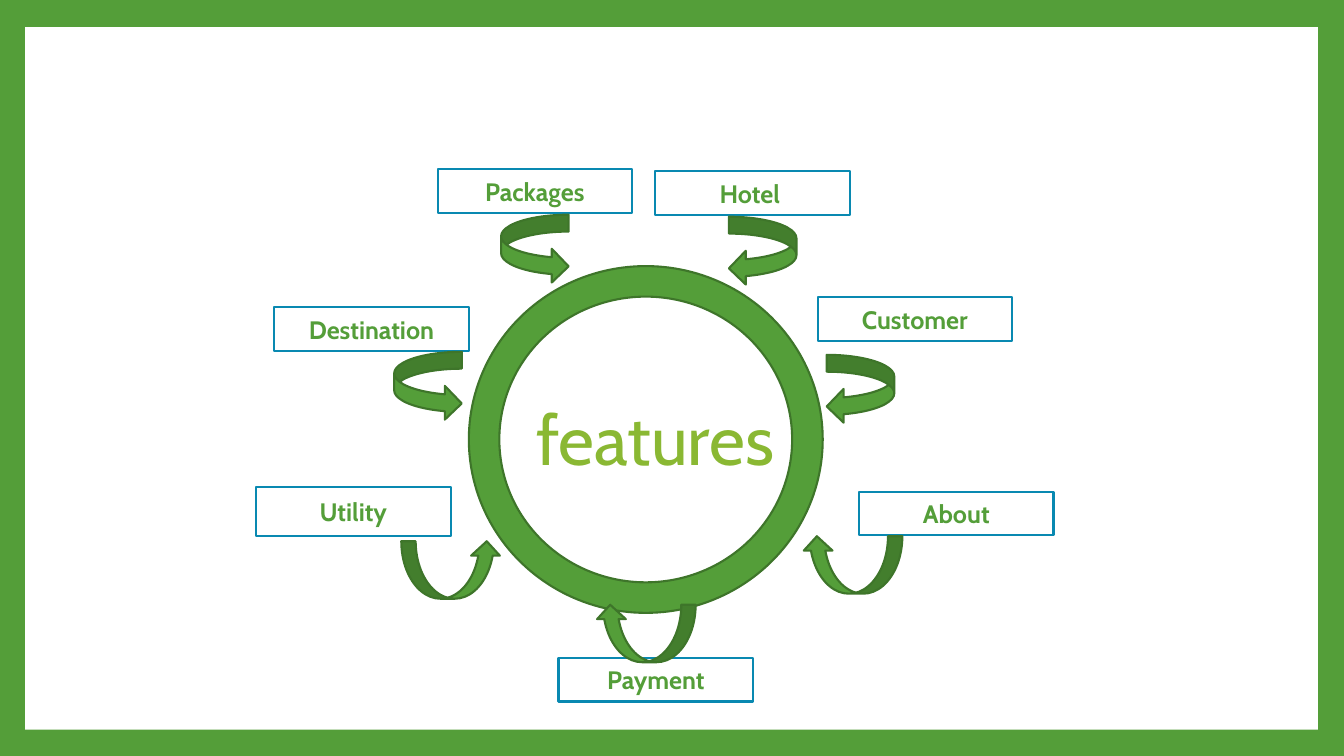
"""Build a slide with a ring of seven features around a central title."""
from dataclasses import dataclass

from pptx import Presentation
from pptx.dml.color import RGBColor
from pptx.enum.shapes import MSO_SHAPE
from pptx.enum.text import MSO_ANCHOR, MSO_AUTO_SIZE, PP_ALIGN
from pptx.shapes.autoshape import Shape
from pptx.slide import Slide
from pptx.util import Inches, Pt

RECTANGLE = MSO_SHAPE.RECTANGLE
DONUT = MSO_SHAPE.DONUT
RIGHT = MSO_SHAPE.CURVED_RIGHT_ARROW
LEFT = MSO_SHAPE.CURVED_LEFT_ARROW
UP = MSO_SHAPE.CURVED_UP_ARROW
TOP, MIDDLE = MSO_ANCHOR.TOP, MSO_ANCHOR.MIDDLE
ALIGN_LEFT, CENTER = PP_ALIGN.LEFT, PP_ALIGN.CENTER
NO_AUTOFIT = MSO_AUTO_SIZE.NONE
TITLE_ONLY = 5


@dataclass(frozen=True)
class Theme:
    """Colours, font and type sizes of the slide."""
    green: str = "549E39"
    dark_green: str = "3E752A"
    lime: str = "8AB833"
    blue: str = "0989B1"
    white: str = "FFFFFF"
    font: str = "Cabin"
    title_size: float = 50
    label_size: float = 18
    line_width: float = 1.5


@dataclass(frozen=True)
class Box:
    """A position and size in inches."""
    left: float
    top: float
    width: float
    height: float


@dataclass(frozen=True)
class Feature:
    """A label box and the curved arrow that leads from it to the ring."""
    label: str
    left: float
    top: float
    arrow: MSO_SHAPE
    arrow_left: float
    arrow_top: float
    flipped: bool = False
    height: float = 0.43


THEME = Theme()
PANEL = Box(0.25, 0.27, 12.82, 6.97)
TITLE = Box(5.04, 4.06, 2.91, 0.78)
RING = Box(4.65, 2.64, 3.51, 3.44)
LABEL_WIDTH = 1.93
ARROW_SIZES = {RIGHT: (0.67, 0.68), LEFT: (0.67, 0.68), UP: (0.99, 0.57)}
FEATURES = (
    Feature("Destination", 2.72, 3.05, RIGHT, 3.91, 3.49),
    Feature("Packages", 4.34, 1.68, RIGHT, 4.97, 2.13),
    Feature("Hotel ", 6.5, 1.7, LEFT, 7.23, 2.15),
    Feature("Customer", 8.11, 2.95, LEFT, 8.2, 3.52),
    Feature("Utility", 2.54, 4.83, UP, 3.98, 5.37, height=0.49),
    Feature("Payment", 5.54, 6.53, UP, 5.91, 6, flipped=True),
    Feature("About", 8.52, 4.88, UP, 7.96, 5.32, flipped=True),
)


def add_figure(slide: Slide, kind: MSO_SHAPE, box: Box, fill: str, outline: str | None) -> Shape:
    """Add a filled preset shape, outlined when a colour is given."""
    figure = slide.shapes.add_shape(
        kind, Inches(box.left), Inches(box.top), Inches(box.width), Inches(box.height))
    figure.shadow.inherit = False
    figure.fill.solid()
    figure.fill.fore_color.rgb = RGBColor.from_string(fill)
    if outline:
        figure.line.color.rgb = RGBColor.from_string(outline)
        figure.line.width = Pt(THEME.line_width)
    else:
        figure.line.fill.background()
    return figure


def write(shape: Shape, text: str, size: float, color: str, bold: bool,
          align: PP_ALIGN, anchor: MSO_ANCHOR) -> None:
    """Write one run of text into a shape."""
    shape.text_frame.vertical_anchor = anchor
    paragraph = shape.text_frame.paragraphs[0]
    paragraph.alignment = align
    run = paragraph.add_run()
    run.text = text
    run.font.name = THEME.font
    run.font.size = Pt(size)
    run.font.bold = bold
    run.font.color.rgb = RGBColor.from_string(color)


def place_title(slide: Slide) -> None:
    """Place and format the title in the middle of the ring."""
    title = slide.shapes.title
    title.left, title.top = Inches(TITLE.left), Inches(TITLE.top)
    title.width, title.height = Inches(TITLE.width), Inches(TITLE.height)
    write(title, "features", THEME.title_size, THEME.lime, False, ALIGN_LEFT, TOP)
    frame = title.text_frame
    frame.auto_size = NO_AUTOFIT
    frame.margin_left, frame.margin_top = Inches(0.28), Inches(0.09)
    frame.paragraphs[0].line_spacing = 0.7
    frame.paragraphs[0].space_before = Pt(0)


def add_label(slide: Slide, feature: Feature) -> None:
    """Add the outlined box that names a feature."""
    box = Box(feature.left, feature.top, LABEL_WIDTH, feature.height)
    label = add_figure(slide, RECTANGLE, box, THEME.white, THEME.blue)
    write(label, feature.label, THEME.label_size, THEME.green, True, CENTER, MIDDLE)


def add_arrow(slide: Slide, feature: Feature) -> None:
    """Add the curved arrow of a feature."""
    box = Box(feature.arrow_left, feature.arrow_top, *ARROW_SIZES[feature.arrow])
    arrow = add_figure(slide, feature.arrow, box, THEME.green, THEME.dark_green)
    if feature.flipped:
        arrow._element.spPr.get_or_add_xfrm().set("flipH", "1")


def main() -> None:
    """Build and save the slide."""
    presentation = Presentation()
    presentation.slide_width, presentation.slide_height = Inches(13.33), Inches(7.5)
    slide = presentation.slides.add_slide(presentation.slide_layouts[TITLE_ONLY])
    slide.background.fill.solid()
    slide.background.fill.fore_color.rgb = RGBColor.from_string(THEME.green)
    panel = add_figure(slide, RECTANGLE, PANEL, THEME.white, None)
    slide.shapes.title._element.addprevious(panel._element)
    place_title(slide)
    ring = add_figure(slide, DONUT, RING, THEME.green, THEME.dark_green)
    ring.adjustments[0] = 0.088
    for feature in FEATURES:
        add_label(slide, feature)
        add_arrow(slide, feature)
    presentation.save("out.pptx")


if __name__ == "__main__":
    main()
